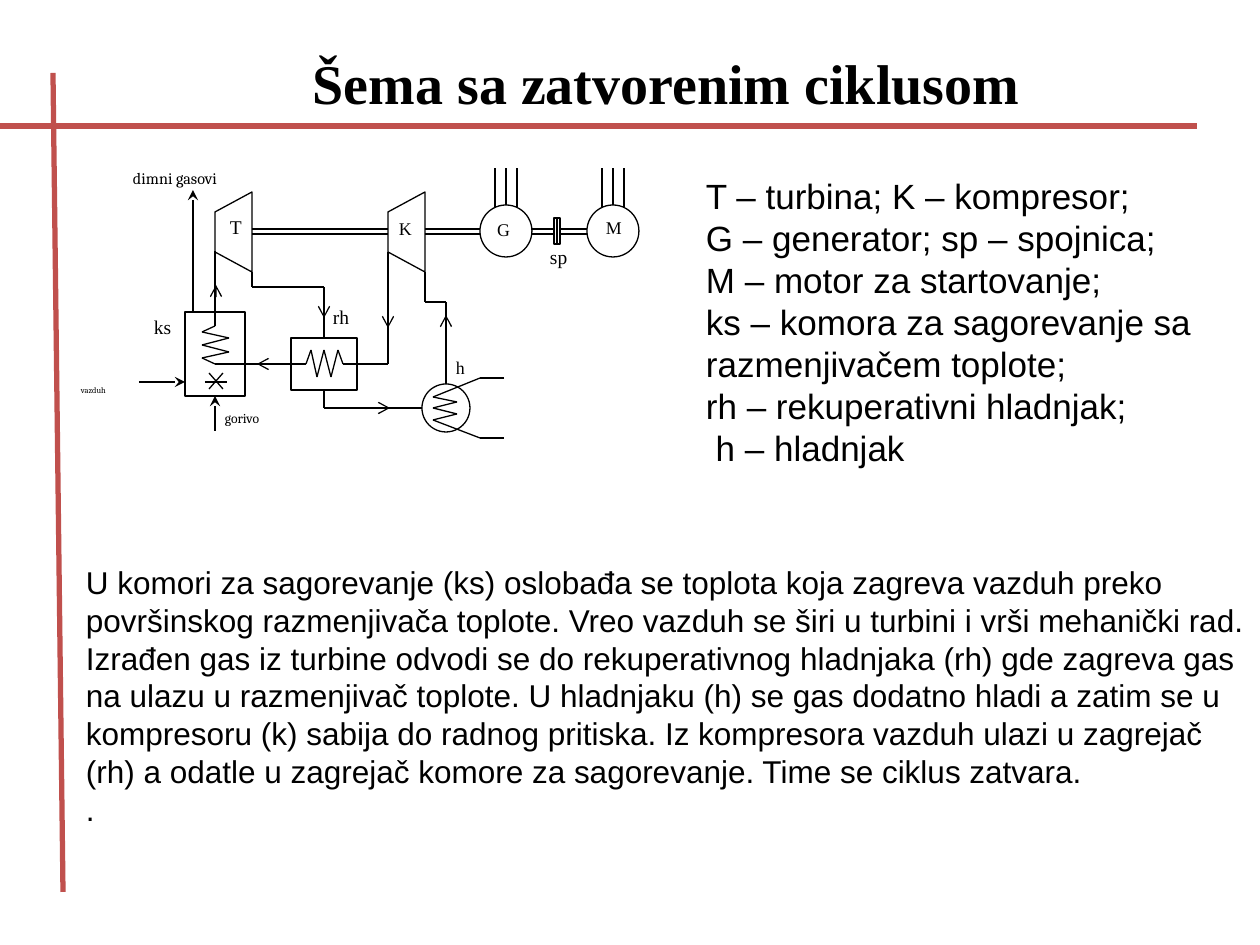
from itertools import pairwise
from pptx import Presentation
from pptx.dml.color import RGBColor
from pptx.enum.shapes import MSO_CONNECTOR as Conn, MSO_SHAPE as Kind
from pptx.enum.text import PP_ALIGN as Align
from pptx.oxml.ns import qn
from pptx.util import Pt
from lxml.etree import SubElement as Sub

PX = 914400 / 126
RED = RGBColor(0xC0, 0x50, 0x4D)
BLACK = RGBColor(0, 0, 0)
WHITE = RGBColor(255, 255, 255)
ROMAN, SERIF, SANS = "Times New Roman", "Cambria", "Arial"

TITLE = "Šema sa zatvorenim ciklusom"
LEGEND = [
    "T – turbina; K – kompresor;",
    "G – generator; sp – spojnica;",
    "M – motor za startovanje;",
    "ks – komora za sagorevanje sa razmenjivačem toplote;",
    "rh – rekuperativni hladnjak;",
    " h – hladnjak",
]
BODY = [
    "U komori za sagorevanje (ks) oslobađa se toplota koja zagreva vazduh "
    "preko površinskog razmenjivača toplote. Vreo vazduh se širi u turbini i "
    "vrši mehanički rad. Izrađen gas iz turbine odvodi se do rekuperativnog "
    "hladnjaka (rh) gde zagreva gas na ulazu u razmenjivač toplote. U "
    "hladnjaku (h) se gas dodatno hladi a zatim se u kompresoru (k) sabija do "
    "radnog pritiska. Iz kompresora vazduh ulazi u zagrejač (rh) a odatle u "
    "zagrejač komore za sagorevanje. Time se ciklus zatvara.",
    ".",
]

# Text, left, top, width, height, size, font, line spacing
LABELS = [
    ("T", 228, 217, 18, 26, 11.1, ROMAN, 0.9),
    ("K", 397, 219, 21, 24, 10.2, ROMAN, 0.9),
    ("G", 495, 220, 21, 24, 10.2, ROMAN, 0.9),
    ("M", 604, 218, 21, 24, 10.2, ROMAN, 0.9),
    ("sp", 548, 247, 26, 29, 11.1, ROMAN, 0.9),
    ("rh", 331, 307, 26, 29, 11.1, ROMAN, 0.9),
    ("ks", 152, 317, 26, 29, 11.1, ROMAN, 0.9),
    ("h", 454, 358, 20, 24, 10.2, ROMAN, 0.9),
    ("dimni gasovi", 131, 170, 106, 23, 9.2, SERIF, 0.9),
    ("vazduh", 79, 386, 87, 15, 4.8, SERIF, 0.8),
    ("gorivo", 223, 412, 52, 21, 7.8, SERIF, 0.8),
]

AXES = [[(0, 126), (1197, 126)], [(53, 73), (63, 892)]]
SHAFTS = [(252, 388), (425, 480), (532, 587)]
SHAFT_Y = (229, 234)

# Kind, left, top, width, height, fill
UNITS = [
    (Kind.OVAL, 480, 205, 52, 52, None),
    (Kind.OVAL, 587, 205, 52, 52, None),
    (Kind.OVAL, 422, 384, 48, 48, WHITE),
    (Kind.RECTANGLE, 291, 338, 66, 52, WHITE),
    (Kind.RECTANGLE, 185, 312, 60, 84, WHITE),
    (Kind.RECTANGLE, 554, 218, 6, 26, WHITE),
]
WHEELS = [252, 425]      # wide side of turbine and compressor
LEADS = [506, 613]       # middle of generator and motor

PIPES = [
    [(252, 272), (252, 287), (324, 287), (324, 338)],
    [(324, 390), (324, 408), (422, 408)],
    [(446, 384), (446, 302), (425, 302), (425, 272)],
    [(388, 252), (388, 364), (343, 364)],
    [(306, 364), (215, 364)],
    [(215, 326), (215, 251)],
    [(557, 218), (557, 244)],
]
COILS = [
    [(306, 364), (311, 350), (317, 377), (324, 350), (331, 377), (338, 350),
     (343, 364)],
    [(215, 326), (202, 332), (229, 338), (202, 345), (229, 352), (202, 358),
     (215, 364)],
    [(504, 378), (480, 378), (433, 397), (457, 402), (433, 408), (457, 414),
     (433, 420), (480, 438), (504, 438)],
]
FLAME = [
    [(205, 382), (227, 382)], [(209, 373), (223, 389)], [(223, 373), (209, 389)],
]
FLOWS = [
    [(265, 364), (257, 364)], [(446, 323), (446, 315)],
    [(216, 292), (216, 285)], [(382, 408), (390, 408)],
    [(388, 320), (388, 328)], [(324, 310), (324, 318)],
]
FEEDS = [
    [(215, 431), (215, 396)], [(139, 382), (185, 382)], [(193, 312), (193, 190)],
]


def emu(*vals):
    return [round(v * PX) for v in vals]


def style(line, color=BLACK, width=0.75):
    line.color.rgb = color
    line.width = Pt(width)


def draw(shapes, pts, sites, color=BLACK, width=0.75, tail=None):
    for a, b in pairwise(pts):
        con = shapes.add_connector(Conn.STRAIGHT, *emu(*a, *b))
        style(con.line, color, width)
        if a in sites:
            con.begin_connect(*sites[a])
        if b in sites:
            con.end_connect(*sites[b])
        if tail:
            Sub(con.line._get_or_add_ln(), qn("a:tailEnd"), type=tail)
        Sub(con._element.spPr, qn("a:effectLst"))


def finish(shape, fill=None):
    shape.shadow.inherit = False
    if fill is None:
        shape.fill.background()
    else:
        shape.fill.solid()
        shape.fill.fore_color.rgb = fill
    style(shape.line)


def write(shapes, texts, box, form, pad=(13, 6), gap=None, align=None):
    frame = shapes.add_textbox(*emu(*box)).text_frame
    frame.word_wrap = True
    x, y = emu(*pad)
    frame.margin_left = frame.margin_right = x
    frame.margin_top = frame.margin_bottom = y
    for i, text in enumerate(texts):
        para = frame.add_paragraph() if i else frame.paragraphs[0]
        para.alignment = align
        para.line_spacing = gap
        run = para.add_run()
        run.text = text
        run.font.color.rgb = BLACK
        for key, val in form.items():
            setattr(run.font, key, val)


def main():
    deck = Presentation()
    deck.slide_width, deck.slide_height = emu(1260, 945)
    shapes = deck.slides.add_slide(deck.slide_layouts[6]).shapes
    sites = {}

    # Red rules and main texts
    for pts in AXES:
        draw(shapes, pts, sites, RED, 3)
    write(shapes, [TITLE], (73, 42, 1187, 81),
          dict(size=Pt(32), name=ROMAN, bold=True), align=Align.CENTER)
    write(shapes, BODY, (73, 557, 1187, 277), dict(size=Pt(18), name=SANS))
    write(shapes, LEGEND, (693, 168, 630, 307), dict(size=Pt(20), name=SANS))

    # Double shafts, behind the machines
    for x1, x2 in SHAFTS:
        for y in SHAFT_Y:
            draw(shapes, [(x1, y), (x2, y)], sites)

    # Machines
    for kind, x, y, w, h, fill in UNITS:
        unit = shapes.add_shape(kind, *emu(x, y, w, h))
        finish(unit, fill)
        if kind == Kind.RECTANGLE:
            mids = [(x + w // 2, y), (x, y + h // 2),
                    (x + w // 2, y + h), (x + w, y + h // 2)]
            sites.update({mid: (unit, i) for i, mid in enumerate(mids)})
    for x in WHEELS:
        form = shapes.build_freeform(x, 192, scale=PX)
        form.add_line_segments([(x - 37, 212), (x - 37, 252), (x, 272)])
        finish(form.convert_to_shape())

    # Electric leads
    for mid in LEADS:
        for dx in (-11, 0, 11):
            draw(shapes, [(mid + dx, 208 if dx else 205), (mid + dx, 168)], sites)

    # Pipes, coils and flow arrows
    for pts in PIPES + COILS + FLAME:
        draw(shapes, pts, sites)
    for group, tail in ((FLOWS, "arrow"), (FEEDS, "stealth")):
        for pts in group:
            draw(shapes, pts, sites, tail=tail)

    # Labels
    for text, x, y, w, h, size, name, gap in LABELS:
        write(shapes, [text], (x, y, w, h), dict(size=Pt(size), name=name),
              (2, 1), gap)

    deck.save("out.pptx")


if __name__ == "__main__":
    main()
